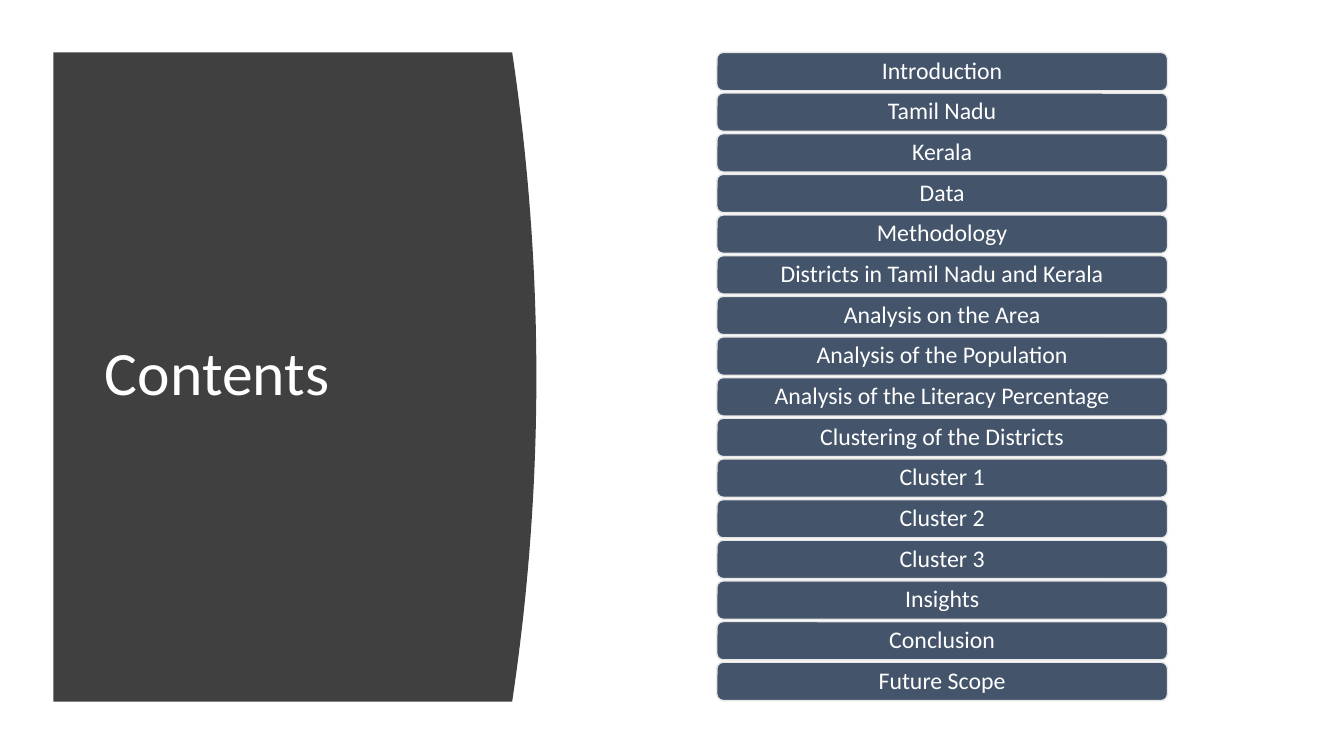
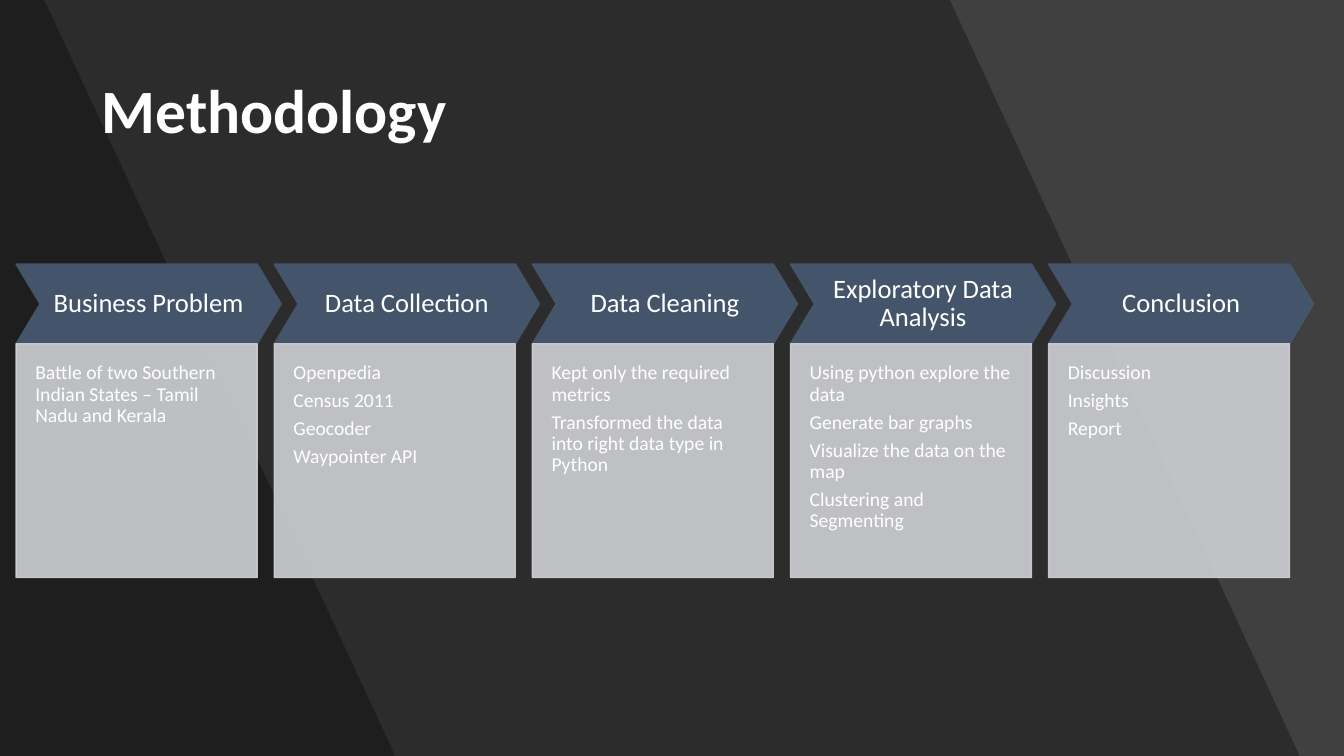
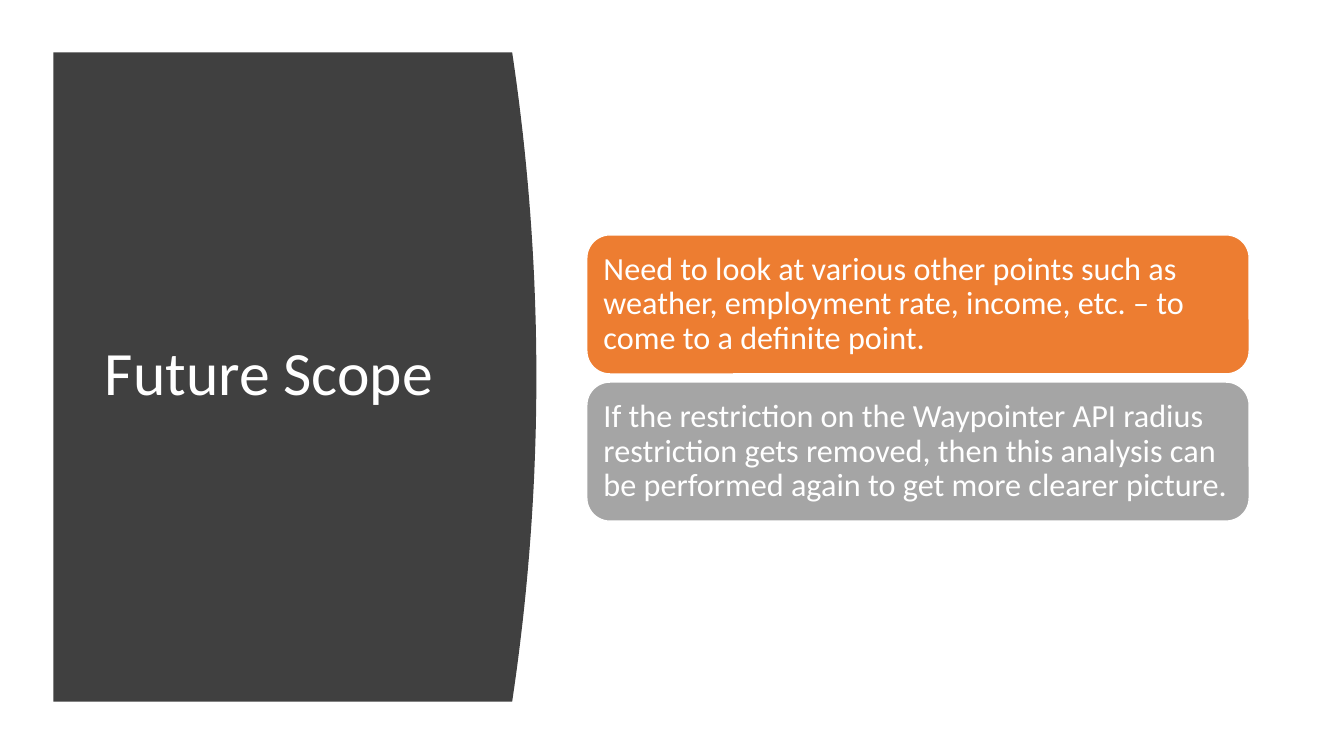
from dataclasses import dataclass

from lxml import etree
from pptx import Presentation
from pptx.dml.color import RGBColor
from pptx.enum import shapes, text
from pptx.oxml import ns
from pptx.util import Inches, Pt


@dataclass(frozen=True)
class Theme:
    font: str = "Calibri"
    white: str = "FFFFFF"
    charcoal: str = "404040"
    black: str = "000000"
    slate: str = "44546A"
    mist: str = "E7E6E6"
    card: str = "CFD1D4"
    orange: str = "ED7D31"
    gray: str = "A5A5A5"
    title_size: int = 44
    point_size: int = 23
    step_size: int = 19
    row_size: int = 17
    detail_size: int = 14
    line_width: int = 1
    line_spacing: float = 0.9
    space_after: float = 0.35


class Deck:
    """Holds the presentation, its theme and the slide being built."""

    def __init__(self, theme):
        self.theme = theme
        self.presentation = Presentation()
        self.presentation.slide_width = Inches(13.33)
        self.presentation.slide_height = Inches(7.5)
        self.page = None

    def new_page(self, background):
        title_only = self.presentation.slide_layouts[5]
        self.page = self.presentation.slides.add_slide(title_only)
        fill = self.page.background.fill
        fill.solid()
        fill.fore_color.rgb = RGBColor.from_string(background)

    def paint(self, shape, fill, line=None, opacity=100):
        shape.shadow.inherit = False
        shape.fill.solid()
        shape.fill.fore_color.rgb = RGBColor.from_string(fill)
        if line:
            shape.line.color.rgb = RGBColor.from_string(line)
            shape.line.width = Pt(self.theme.line_width)
        else:
            shape.line.fill.background()
        if opacity < 100:
            for color in shape.element.spPr.iter(ns.qn("a:srgbClr")):
                alpha = etree.SubElement(color, ns.qn("a:alpha"))
                alpha.set("val", str(opacity * 1000))

    def set_text(self, shape, paragraphs, size, bold=False, centered=False,
                 anchor=text.MSO_ANCHOR.MIDDLE, insets=(0.1, 0.1, 0.1, 0.1)):
        """Fill a shape with paragraphs; insets run left, top, right, bottom."""
        frame = shape.text_frame
        frame.text = "\n".join(paragraphs)
        frame.word_wrap = True
        frame.auto_size = text.MSO_AUTO_SIZE.NONE
        frame.vertical_anchor = anchor
        (frame.margin_left, frame.margin_top,
         frame.margin_right, frame.margin_bottom) = map(Inches, insets)
        for para in frame.paragraphs:
            para.alignment = text.PP_ALIGN.CENTER if centered else text.PP_ALIGN.LEFT
            para.line_spacing = self.theme.line_spacing
            para.space_after = Pt(size * self.theme.space_after)
            for span in para.runs:
                span.font.name = self.theme.font
                span.font.size = Pt(size)
                span.font.bold = bold
                span.font.color.rgb = RGBColor.from_string(self.theme.white)

    def title(self, wording, left, top, width, height, bold=False):
        """Place the title placeholder in front of what is already drawn."""
        box = self.page.shapes.title
        box.left, box.top, box.width, box.height = map(
            Inches, (left, top, width, height))
        self.set_text(box, [wording], self.theme.title_size, bold=bold,
                      insets=(0.1, 0.05, 0.1, 0.05))
        for para in box.text_frame.paragraphs:
            para.space_after = Pt(0)
        self.page.shapes.element.append(box.element)

    def block(self, kind, left, top, width, height, fill, line, opacity=100):
        shape = self.page.shapes.add_shape(
            kind, *map(Inches, (left, top, width, height)))
        self.paint(shape, fill, line, opacity)
        return shape

    def outline(self, points, fill, opacity=100):
        corners = [(Inches(x), Inches(y)) for x, y in points]
        builder = self.page.shapes.build_freeform(*corners[0])
        builder.add_line_segments(corners[1:], close=True)
        self.paint(builder.convert_to_shape(), fill, opacity=opacity)

    def title_panel(self, wording):
        """Draw the dark panel with a bulging right edge and its title."""
        left, right, top, bottom, bulge, steps = 0.53, 5.08, 0.52, 6.96, 0.24, 40
        edge = []
        for step in range(steps + 1):
            part = step / steps
            edge.append((right + 4 * bulge * part * (1 - part),
                         top + (bottom - top) * part))
        self.outline([(left, top), *edge, (left, bottom)], self.theme.charcoal)
        self.title(wording, 0.94, 1.11, 3.74, 5.24)

    def slanted_shade(self, top_width, bottom_width):
        self.outline([(0, 0), (top_width, 0), (bottom_width, 7.5), (0, 7.5)],
                     self.theme.black, opacity=30)


def contents(deck, topics):
    theme = deck.theme
    deck.new_page(theme.white)
    deck.title_panel("Contents")
    top, bottom, height = 0.52, 6.95, 0.38
    pitch = (bottom - top - height) / (len(topics) - 1)
    for index, topic in enumerate(topics):
        row = deck.block(shapes.MSO_SHAPE.ROUNDED_RECTANGLE, 7.11,
                         top + index * pitch, 4.47, height, theme.slate, theme.mist)
        deck.set_text(row, [topic], theme.row_size, centered=True,
                      insets=(0.07, 0.04, 0.07, 0.04))


def methodology(deck, steps):
    theme = deck.theme
    deck.new_page(theme.charcoal)
    deck.slanted_shade(9.42, 12.89)
    deck.slanted_shade(0.44, 3.92)
    deck.title("Methodology", 0.91, 0.4, 11.51, 1.45, bold=True)
    for index, (name, details) in enumerate(steps.items()):
        left = 0.16 + index * 2.56
        arrow = deck.block(shapes.MSO_SHAPE.CHEVRON, left, 2.62, 2.63, 0.79,
                           theme.slate, theme.slate)
        arrow.adjustments[0] = 0.3
        deck.set_text(arrow, [name], theme.step_size, centered=True)
        card = deck.block(shapes.MSO_SHAPE.RECTANGLE, left, 3.41, 2.39, 2.32,
                          theme.card, theme.card, opacity=90)
        deck.set_text(card, details, theme.detail_size, anchor=text.MSO_ANCHOR.TOP,
                      insets=(0.19, 0.19, 0.19, 0.38))


def future_scope(deck, points):
    theme = deck.theme
    deck.new_page(theme.white)
    deck.title_panel("Future Scope")
    for index, (point, color) in enumerate(zip(points, (theme.orange, theme.gray))):
        card = deck.block(shapes.MSO_SHAPE.ROUNDED_RECTANGLE, 5.82,
                          2.33 + index * 1.46, 6.57, 1.38, color, theme.white)
        deck.set_text(card, [point], theme.point_size)


def main():
    deck = Deck(Theme())
    contents(deck, [
        "Introduction", "Tamil Nadu", "Kerala", "Data", "Methodology",
        "Districts in Tamil Nadu and Kerala", "Analysis on the Area",
        "Analysis of the Population", "Analysis of the Literacy Percentage",
        "Clustering of the Districts", "Cluster 1", "Cluster 2", "Cluster 3",
        "Insights", "Conclusion", "Future Scope",
    ])
    methodology(deck, {
        "Business Problem": [
            "Battle of two Southern Indian States – Tamil Nadu and Kerala"],
        "Data Collection": [
            "Openpedia", "Census 2011", "Geocoder", "Waypointer API"],
        "Data Cleaning": [
            "Kept only the required metrics",
            "Transformed the data into right data type in Python"],
        "Exploratory Data Analysis": [
            "Using python explore the data", "Generate bar graphs",
            "Visualize the data on the map", "Clustering and Segmenting"],
        "Conclusion": ["Discussion", "Insights", "Report"],
    })
    future_scope(deck, [
        "Need to look at various other points such as weather, employment rate, "
        "income, etc. – to come to a definite point.",
        "If the restriction on the Waypointer API radius restriction gets removed, "
        "then this analysis can be performed again to get more clearer picture.",
    ])
    deck.presentation.save("out.pptx")


if __name__ == "__main__":
    main()
